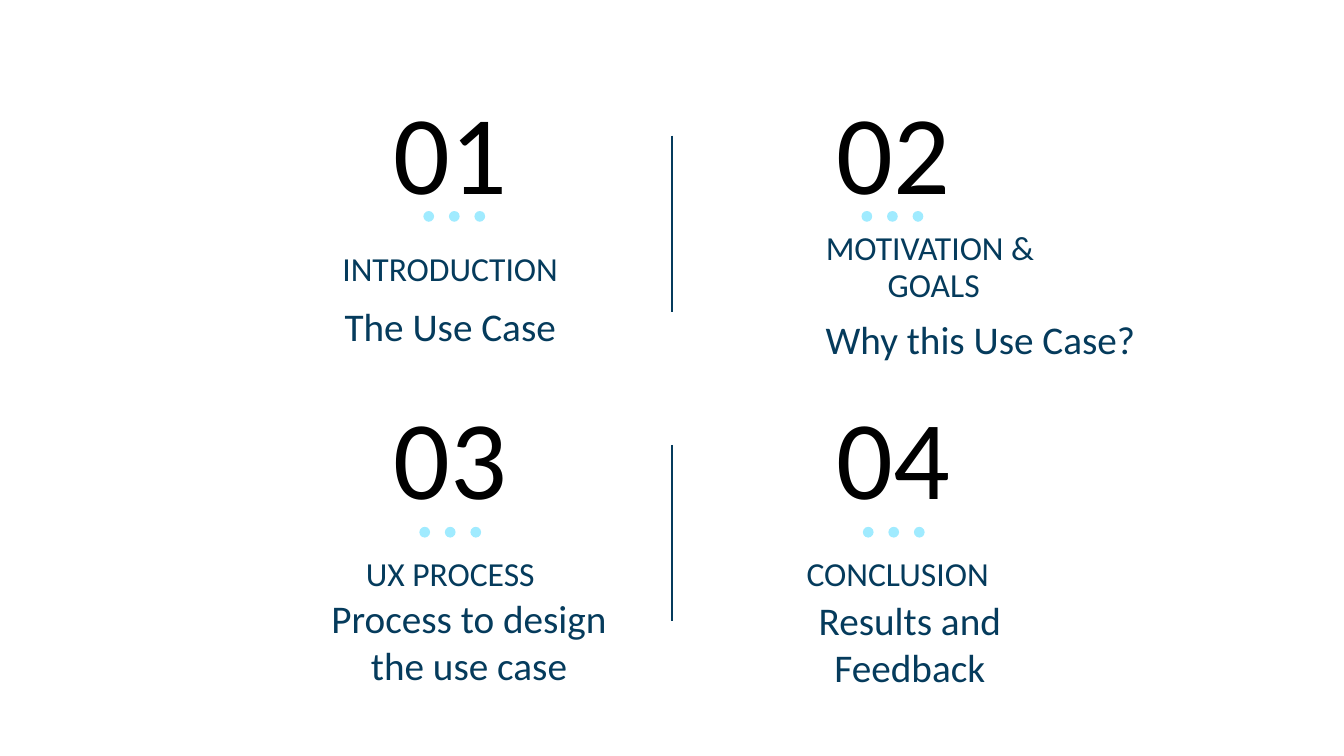
from lxml.etree import SubElement
from pptx import Presentation
from pptx.dml.color import RGBColor
from pptx.enum.shapes import MSO_CONNECTOR, MSO_SHAPE
from pptx.enum.text import MSO_ANCHOR, MSO_AUTO_SIZE, PP_ALIGN
from pptx.oxml.ns import qn
from pptx.util import Inches, Pt

COLORS = {"navy": "053B5C", "black": "000000", "sky": "A0EBFF"}
FONT = "Calibri"

# Each section: texts, boxes as (left, top, width, height), centre of its dots
SECTIONS = [
    {"number": "01", "number_at": (2.81, 0.29, 1.08, 1.44),
     "heading": "INTRODUCTION", "heading_at": (2.19, 1.73, 2.32, 0.56),
     "summary": "The Use Case", "summary_at": (2.19, 2.06, 2.32, 0.73),
     "dots": (3.38, 1.61)},
    {"number": "02", "number_at": (6.11, 0.29, 1.08, 1.44),
     "heading": "MOTIVATION &\v GOALS", "heading_at": (5.49, 1.82, 2.86, 0.35),
     "summary": "Why this Use Case?", "summary_at": (5.35, 2.29, 3.89, 0.46),
     "dots": (6.64, 1.61)},
    {"number": "03", "number_at": (2.81, 2.56, 1.08, 1.44),
     "heading": "UX PROCESS", "heading_at": (2.19, 4, 2.32, 0.56),
     "summary": "Process to design the use case", "summary_at": (2.33, 4.41, 2.32, 0.73),
     "dots": (3.35, 3.96)},
    {"number": "04", "number_at": (6.11, 2.56, 1.08, 1.44),
     "heading": "CONCLUSION", "heading_at": (5.31, 4, 2.74, 0.56),
     "summary": "Results and Feedback", "summary_at": (5.6, 4.51, 2.34, 0.56),
     "dots": (6.65, 3.96)},
]
DIVIDER_X, DIVIDER_HEIGHT = 5, 1.31
DIVIDER_TOPS = (1.01, 3.31)
DOT_SIZE, DOT_PITCH = 0.08, 0.19


def rgb(name):
    return RGBColor.from_string(COLORS[name])


def write(box, text, place, size, color="navy", spacing=0.9, anchor=MSO_ANCHOR.MIDDLE):
    box.left, box.top, box.width, box.height = map(Inches, place)
    frame = box.text_frame
    frame.text = text
    frame.word_wrap = True
    frame.auto_size = MSO_AUTO_SIZE.NONE
    frame.vertical_anchor = anchor
    frame.margin_left = frame.margin_right = Inches(0.1)
    frame.margin_top = frame.margin_bottom = Inches(0.1)
    paragraph = frame.paragraphs[0]
    paragraph.alignment = PP_ALIGN.CENTER
    paragraph.line_spacing = spacing
    paragraph.space_before = Pt(0)
    for run in paragraph.runs:
        run.font.name = FONT
        run.font.size = Pt(size)
        run.font.bold = False
        run.font.color.rgb = rgb(color)
    return paragraph


def remove_bullet(paragraph):
    properties = paragraph._p.get_or_add_pPr()
    properties.set("marL", "0")
    properties.set("indent", "0")
    SubElement(properties, qn("a:buNone"))


def add_dots(shapes, center_x, center_y):
    for step in (-1, 0, 1):
        dot = shapes.add_shape(
            MSO_SHAPE.OVAL,
            Inches(center_x + step * DOT_PITCH - DOT_SIZE / 2),
            Inches(center_y - DOT_SIZE / 2),
            Inches(DOT_SIZE), Inches(DOT_SIZE))
        dot.shadow.inherit = False
        dot.fill.solid()
        dot.fill.fore_color.rgb = rgb("sky")
        dot.line.fill.background()


def main():
    deck = Presentation()
    # A 16:9 slide
    deck.slide_width = Inches(10)
    deck.slide_height = Inches(10 * 9 / 16)
    # The comparison layout has a title and four body placeholders
    slide = deck.slides.add_slide(deck.slide_layouts[4])
    shapes = slide.shapes
    summaries = list(slide.placeholders)[1:]

    # Sections
    for index, (section, summary) in enumerate(zip(SECTIONS, summaries)):
        heading = shapes.title if index == 0 else shapes.add_textbox(0, 0, 0, 0)
        write(heading, section["heading"], section["heading_at"], 18)
        number = shapes.add_textbox(0, 0, 0, 0)
        write(number, section["number"], section["number_at"], 60, "black",
              anchor=MSO_ANCHOR.BOTTOM)
        remove_bullet(write(summary, section["summary"], section["summary_at"],
                            21, spacing=1.0))
        add_dots(shapes, *section["dots"])

    # Dividers between the columns
    for top in DIVIDER_TOPS:
        divider = shapes.add_connector(
            MSO_CONNECTOR.STRAIGHT, Inches(DIVIDER_X), Inches(top),
            Inches(DIVIDER_X), Inches(top + DIVIDER_HEIGHT))
        divider.line.color.rgb = rgb("navy")
        divider.line.width = Pt(1.5)
        SubElement(divider._element.spPr, qn("a:effectLst"))

    deck.save("out.pptx")


if __name__ == "__main__":
    main()
